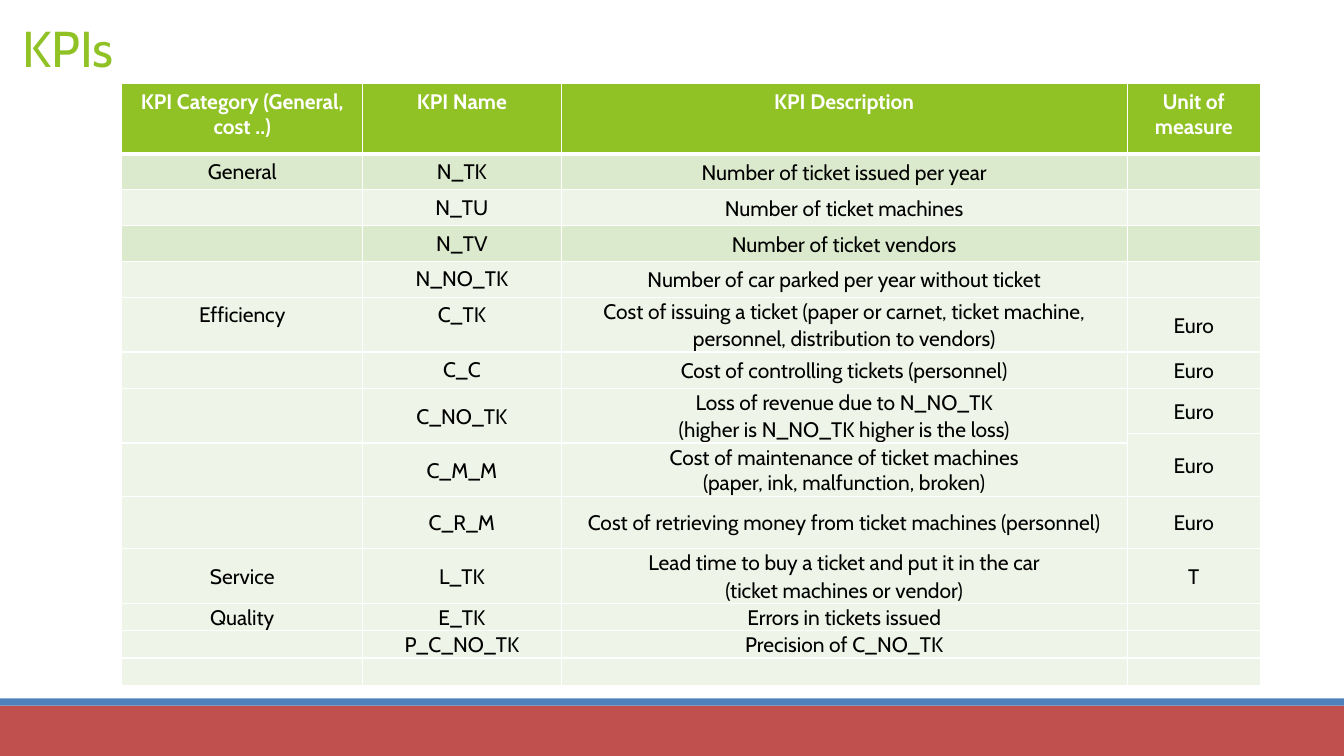
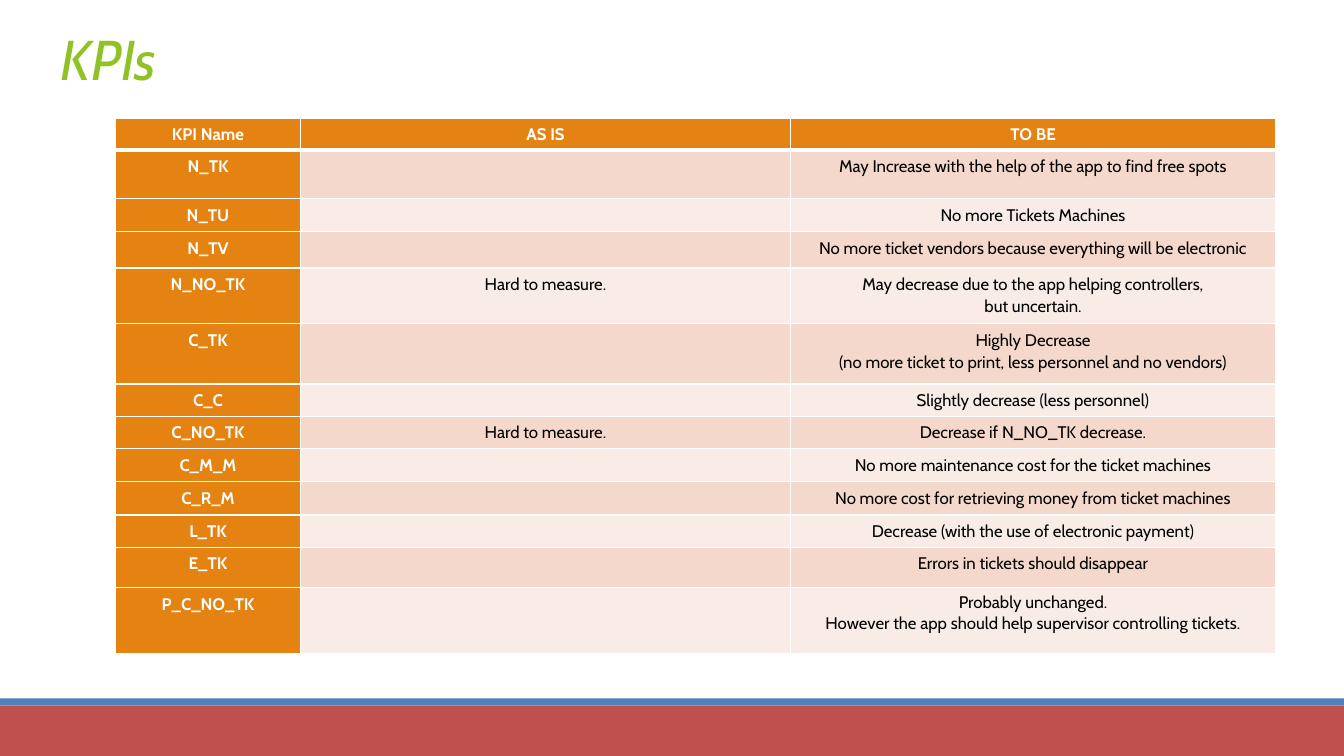
from lxml import etree
from pptx import Presentation
from pptx.dml.color import RGBColor
from pptx.enum.shapes import MSO_SHAPE
from pptx.enum.text import MSO_ANCHOR, MSO_AUTO_SIZE, PP_ALIGN
from pptx.oxml.ns import qn
from pptx.util import Inches, Pt

RECTANGLE = MSO_SHAPE.RECTANGLE
TOP, MIDDLE = MSO_ANCHOR.TOP, MSO_ANCHOR.MIDDLE
LEFT, CENTER = PP_ALIGN.LEFT, PP_ALIGN.CENTER
NO_AUTO_SIZE = MSO_AUTO_SIZE.NONE

FONT = "Cabin"
WHITE, BLACK = "FFFFFF", "000000"
GREEN, ORANGE, RED, BLUE = "90C226", "E48312", "C0504D", "4F81BD"
BANDS = [(7, 0.5, RED), (6.93, 0.07, BLUE)]  # top, height, colour
BORDER, HEADER_BORDER = 0.96, 3
TITLE_ONLY = 5

# Cell formats: anchor, horizontal and vertical margin, line spacing
ROOMY = (TOP, 0.1, 0.05, 1)
TIGHT = (MIDDLE, 0.07, 0, 1.07)
NARROW = (TOP, 0.03, 0.05, 1.07)

SINGLE_SPACED_LINES = {
    "(paper, ink, malfunction, broken)",
    "Probably unchanged.",
    "However the app should help supervisor controlling tickets.",
}

DEFINITION_COLUMNS = [2.39, 1.97, 5.62, 1.32]
DEFINITION_ROWS = [
    (0.7, "KPI Category (General, cost ..)", "KPI Name", "KPI Description", "Unit of measure"),
    (0.35, "General", "N_TK", "Number of ticket issued per year", ""),
    (0.35, "", "N_TU", "Number of ticket machines", ""),
    (0.35, "", "N_TV", "Number of ticket vendors", ""),
    (0.35, "", "N_NO_TK", "Number of car parked per year without ticket", ""),
    (0.54, "Efficiency", "C_TK",
     "Cost of issuing a ticket (paper or carnet, ticket machine, personnel, "
     "distribution to vendors)", "Euro"),
    (0.36, "", "C_C", "Cost of controlling tickets (personnel)", "Euro"),
    (0.45, "", "C_NO_TK",
     "Loss of revenue due to N_NO_TK\n(higher is N_NO_TK higher is the loss)", "Euro"),
    (0.09, "", "", "", "Euro"),
    (0.53, "", "C_M_M",
     "Cost of maintenance of ticket machines\n(paper, ink, malfunction, broken)", ""),
    (0.52, "", "C_R_M", "Cost of retrieving money from ticket machines (personnel)", "Euro"),
    (0.54, "Service", "L_TK",
     "Lead time to buy a ticket and put it in the car\n(ticket machines or vendor)", "T"),
    (0.27, "Quality", "E_TK", "Errors in tickets issued", ""),
    (0.27, "", "P_C_NO_TK", "Precision of C_NO_TK", ""),
    (0.27, "", "", "", ""),
]
LOSS_ROW, MAINTENANCE_ROW = 7, 9

COMPARISON_COLUMNS = [1.83, 4.87, 4.81]
COMPARISON_ROWS = [
    (0.32, "KPI Name", "AS IS", "TO BE"),
    (0.48, "N_TK", "", "May Increase with the help of the app to find free spots"),
    (0.33, "N_TU", "", "No more Tickets Machines"),
    (0.36, "N_TV", "", "No more ticket vendors because everything will be electronic"),
    (0.55, "N_NO_TK", "Hard to measure.",
     "May decrease due to the app helping controllers,\nbut uncertain."),
    (0.6, "C_TK", "",
     "Highly Decrease\n(no more ticket to print, less personnel and no vendors)"),
    (0.32, "C_C", "", "Slightly decrease (less personnel)"),
    (0.32, "C_NO_TK", "Hard to measure.", "Decrease if N_NO_TK decrease."),
    (0.33, "C_M_M", "", "No more maintenance cost for the ticket machines"),
    (0.33, "C_R_M", "", "No more cost for retrieving money from ticket machines"),
    (0.32, "L_TK", "", "Decrease (with the use of electronic payment)"),
    (0.4, "E_TK", "", "Errors in tickets should disappear"),
    (0.66, "P_C_NO_TK", "",
     "Probably unchanged.\nHowever the app should help supervisor controlling tickets."),
]


def color(hex_value):
    return RGBColor.from_string(hex_value)


def set_font(font, size, hex_value, **flags):
    values = {"name": FONT, "size": Pt(size), **flags}
    for name, value in values.items():
        setattr(font, name, value)
    font.color.rgb = color(hex_value)


def move_bands_to_layout(slide):
    """Draw the bottom bands and hand them to the layout that all slides share."""
    for top, height, fill in BANDS:
        band = slide.shapes.add_shape(
            RECTANGLE, 0, Inches(top), Inches(13.34), Inches(height))
        band.shadow.inherit = False
        band.fill.solid()
        band.fill.fore_color.rgb = color(fill)
        band.line.fill.background()
        slide.slide_layout.shapes._spTree.append(band._element)


def format_title(slide, box, size, alignment, italic):
    title = slide.shapes.title
    title.left, title.top, title.width, title.height = map(Inches, box)
    frame = title.text_frame
    frame.text = "KPIs"
    frame.auto_size = NO_AUTO_SIZE
    frame.vertical_anchor = TOP
    paragraph = frame.paragraphs[0]
    paragraph.alignment = alignment
    set_font(paragraph.runs[0].font, size, GREEN, italic=italic)


def set_borders(cell, top, bottom):
    """Give the cell white borders; top and bottom are widths in points."""
    properties = cell._tc.get_or_add_tcPr()
    widths = {"a:lnL": BORDER, "a:lnR": BORDER, "a:lnT": top, "a:lnB": bottom}
    for tag, width in widths.items():
        line = etree.SubElement(properties, qn(tag), w=str(Pt(width)))
        fill = etree.SubElement(line, qn("a:solidFill"))
        etree.SubElement(fill, qn("a:srgbClr"), val=WHITE)


def fill_cell(cell, text, cell_format, size, fill, emphasized):
    anchor, horizontal, vertical, spacing = cell_format
    cell.vertical_anchor = anchor
    cell.margin_left = cell.margin_right = Inches(horizontal)
    cell.margin_top = cell.margin_bottom = Inches(vertical)
    cell.fill.solid()
    cell.fill.fore_color.rgb = color(fill)
    cell.text = text
    for paragraph in cell.text_frame.paragraphs:
        paragraph.alignment = CENTER
        paragraph.line_spacing = 1.0 if paragraph.text in SINGLE_SPACED_LINES else spacing
        for run in paragraph.runs:
            set_font(run.font, size, WHITE if emphasized else BLACK, bold=emphasized)
        if not paragraph.runs:  # keeps empty rows as low as the text rows
            etree.SubElement(paragraph._p, qn("a:endParaRPr"), sz=str(size * 100))


def add_kpi_table(slide, left, top, columns, rows, size, accent, row_fill, cell_format,
                  name_column=False):
    """Add a table; row_fill and cell_format are functions of the cell's place."""
    table = slide.shapes.add_table(
        len(rows), len(columns), Inches(left), Inches(top),
        Inches(sum(columns)), Inches(sum(row[0] for row in rows))).table
    table.first_row = table.horz_banding = False
    for column, width in zip(table.columns, columns):
        column.width = Inches(width)
    for row, (height, *texts) in enumerate(rows):
        table.rows[row].height = Inches(height)
        for column, text in enumerate(texts):
            cell = table.cell(row, column)
            emphasized = row == 0 or (name_column and column == 0)
            set_borders(cell, HEADER_BORDER if row == 1 else BORDER,
                        HEADER_BORDER if row == 0 else BORDER)
            fill_cell(cell, text, cell_format(row, column), size,
                      accent if emphasized else row_fill(row), emphasized)
    return table


def definition_fill(row):
    return "DBE9CC" if row in (1, 3) else "EEF4E7"


def definition_format(row, column):
    roomy = row == 0 or (row < LOSS_ROW and column < 2)
    return ROOMY if roomy else TIGHT


def comparison_fill(row):
    return "F4D8CC" if row % 2 else "F9ECE7"


def comparison_format(row, column):
    return NARROW


def add_definition_slide(presentation):
    slide = presentation.slides.add_slide(presentation.slide_layouts[TITLE_ONLY])
    format_title(slide, (0.12, 0.12, 9.4, 0.7), 36, LEFT, False)
    table = add_kpi_table(slide, 1.21, 0.83, DEFINITION_COLUMNS, DEFINITION_ROWS, 15,
                          GREEN, definition_fill, definition_format)
    for column in range(3):
        table.cell(LOSS_ROW, column).merge(table.cell(LOSS_ROW + 1, column))
    table.cell(LOSS_ROW + 1, 3).merge(table.cell(MAINTENANCE_ROW, 3))
    return slide


def add_comparison_slide(presentation):
    slide = presentation.slides.add_slide(presentation.slide_layouts[TITLE_ONLY])
    format_title(slide, (0, 0.19, 2.16, 0.77), 40, CENTER, True)
    add_kpi_table(slide, 1.15, 1.17, COMPARISON_COLUMNS, COMPARISON_ROWS, 12,
                  ORANGE, comparison_fill, comparison_format, name_column=True)


def main():
    presentation = Presentation()
    presentation.slide_width = Inches(13.34)
    presentation.slide_height = Inches(7.5)
    move_bands_to_layout(add_definition_slide(presentation))
    add_comparison_slide(presentation)
    presentation.save("out.pptx")


if __name__ == "__main__":
    main()
